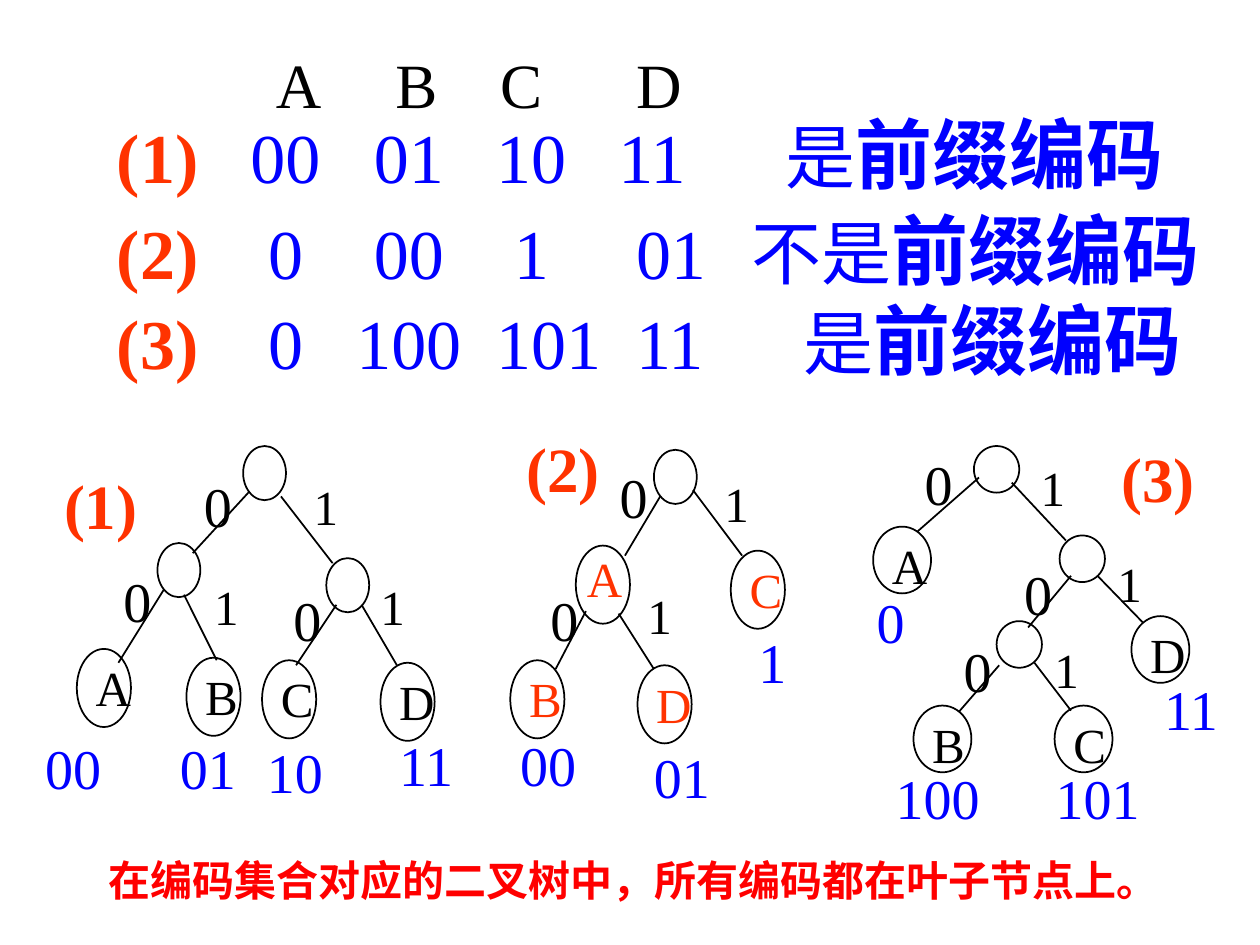
from dataclasses import dataclass

from lxml import etree
from pptx import Presentation
from pptx.dml.color import RGBColor
from pptx.enum.shapes import MSO_CONNECTOR, MSO_SHAPE
from pptx.oxml.ns import qn
from pptx.util import Inches, Pt

OVAL = MSO_SHAPE.OVAL
STRAIGHT = MSO_CONNECTOR.STRAIGHT


@dataclass(frozen=True)
class Theme:
    latin: str = "Times New Roman"
    cjk: str = "Noto Sans CJK SC"
    ink: RGBColor = RGBColor(0x00, 0x00, 0x00)
    code: RGBColor = RGBColor(0x00, 0x00, 0xFF)
    accent: RGBColor = RGBColor(0xFF, 0x33, 0x00)
    note: RGBColor = RGBColor(0xFF, 0x00, 0x00)
    note_size: int = 24
    letter_size: int = 28
    code_size: int = 32
    heading_size: int = 36
    row_size: int = 40
    term_size: int = 44
    stroke: float = 1


THEME = Theme()
BIT_SIZES = {"0": THEME.code_size, "1": THEME.letter_size}
SMALL_ROUND, TALL_OVAL = (0.34, 0.43), (0.43, 0.62)
SMALL_CIRCLE, WIDE_OVAL = (0.36, 0.37), (0.46, 0.53)

# Code rows: label, tab stops from the text edge, codes, verdict, top
CODE_ROWS = [
    ("(1)", (1.06, 2.04, 3.01, 3.98, 5.31), "00 01 10 11", "是", 0.8),
    ("(2)", (1.2, 2.04, 3.15, 4.12, 5.04), "0 00 1 01", "不是", 1.56),
    ("(3)", (1.2, 1.9, 3.01, 4.12, 5.45), "0 100 101 11", "是", 2.27),
]

# Trees, in inches from the top left of their box.
# inner: x, y of each plain node
# edges: x1, y1, x2, y2, bit, and the bit's x, y
# leaves: x, y, letter, letter's shift in the node, code, and the code's x, y
SHIFT = (0.05, 0.02)
TREES = [
    dict(
        box=(0, 3), label=("(1)", 0.41, 0.65), letter_color=THEME.ink,
        inner_size=SMALL_ROUND, leaf_size=TALL_OVAL,
        inner=[(1.93, 0.54), (1.25, 1.31), (2.59, 1.43)],
        edges=[
            (1.98, 0.9, 1.53, 1.39, "0", 1.52, 0.69),
            (2.23, 0.94, 2.64, 1.47, "1", 2.39, 0.73),
            (1.3, 1.68, 0.94, 2.26, "0", 0.88, 1.45),
            (1.46, 1.72, 1.72, 2.24, "1", 1.6, 1.53),
            (2.67, 1.8, 2.35, 2.28, "0", 2.23, 1.6),
            (2.87, 1.8, 3.15, 2.28, "1", 2.92, 1.53),
        ],
        leaves=[
            (0.61, 2.15, "A", SHIFT, "00", 0.26, 2.77),
            (1.48, 2.22, "B", SHIFT, "01", 1.33, 2.77),
            (2.08, 2.24, "C", SHIFT, "10", 2.02, 2.8),
            (3.02, 2.26, "D", SHIFT, "11", 3.07, 2.75),
        ],
    ),
    dict(
        box=(4, 3), label=("(2)", 0.08, 0.36), letter_color=THEME.accent,
        inner_size=SMALL_ROUND, leaf_size=TALL_OVAL,
        inner=[(1.19, 0.57)],
        edges=[
            (1.24, 0.94, 0.96, 1.41, "0", 0.82, 0.62),
            (1.5, 0.89, 1.89, 1.41, "1", 1.65, 0.71),
            (0.65, 1.85, 0.41, 2.31, "0", 0.27, 1.6),
            (0.91, 1.87, 1.19, 2.31, "1", 1.04, 1.6),
        ],
        leaves=[
            (0.57, 1.33, "A", (-0.01, -0.03), "", 0, 0),
            (0.05, 2.24, "B", SHIFT, "00", 0.03, 2.75),
            (1.8, 1.37, "C", SHIFT, "1", 1.92, 1.93),
            (1.06, 2.28, "D", SHIFT, "01", 1.09, 2.84),
        ],
    ),
    dict(
        box=(6, 3), label=("(3)", 2.8, 0.44), letter_color=THEME.ink,
        inner_size=SMALL_CIRCLE, leaf_size=WIDE_OVAL,
        inner=[(1.73, 0.54), (2.41, 1.25), (1.91, 1.93)],
        edges=[
            (1.77, 0.79, 1.28, 1.22, "0", 1.24, 0.52),
            (2.03, 0.83, 2.46, 1.29, "1", 2.16, 0.58),
            (2.5, 1.57, 2.16, 1.98, "0", 2.03, 1.39),
            (2.71, 1.57, 3.07, 1.94, "1", 2.77, 1.34),
            (1.93, 2.28, 1.61, 2.65, "0", 1.55, 2),
            (2.21, 2.26, 2.5, 2.64, "1", 2.27, 2.03),
        ],
        leaves=[
            (0.93, 1.18, "A", SHIFT, "0", 0.86, 1.61),
            (1.25, 2.6, "B", SHIFT, "100", 1.01, 3.01),
            (2.37, 2.6, "C", SHIFT, "101", 2.28, 3.01),
            (2.98, 1.89, "D", SHIFT, "11", 3.14, 2.3),
        ],
    ),
]


def add_text(slide, left, top, width, runs, tabs=(), wrap=True):
    """Place one line made of (text, size, colour, bold) runs."""
    height = max(run[1] for run in runs) * 1.2 / 72 + 0.1
    box = slide.shapes.add_textbox(
        Inches(left), Inches(top), Inches(width), Inches(height))
    box.text_frame.word_wrap = wrap
    line = box.text_frame.paragraphs[0]
    if tabs:
        stops = etree.SubElement(line._p.get_or_add_pPr(), qn("a:tabLst"))
        for stop in tabs:
            etree.SubElement(stops, qn("a:tab"), pos=str(Inches(stop)), algn="l")
    for text, size, color, bold in runs:
        run = line.add_run()
        run.text = text
        run.font.name = THEME.latin
        run.font.size = Pt(size)
        run.font.bold = bold
        run.font.color.rgb = color
        etree.SubElement(run._r.get_or_add_rPr(), qn("a:ea"), typeface=THEME.cjk)
    return box


def add_node(slide, left, top, size):
    node = slide.shapes.add_shape(
        OVAL, Inches(left), Inches(top), Inches(size[0]), Inches(size[1]))
    node.shadow.inherit = False
    node.fill.background()
    node.line.color.rgb = THEME.ink
    node.line.width = Pt(THEME.stroke)


def add_edge(slide, x1, y1, x2, y2):
    edge = slide.shapes.add_connector(
        STRAIGHT, Inches(x1), Inches(y1), Inches(x2), Inches(y2))
    edge.line.color.rgb = THEME.ink
    edge.line.width = Pt(THEME.stroke)
    etree.SubElement(edge._element.spPr, qn("a:effectLst"))


def build_code_rows(slide, left, width):
    # Letter headings
    add_text(slide, left + 1.26, 0.31, 4.05,
             [("A\tB\tC\tD", THEME.heading_size, THEME.ink, False)],
             tabs=(0.95, 1.78, 2.86))
    # One line per code set, with its verdict
    for label, tabs, codes, verdict, top in CODE_ROWS:
        cells = "\t".join(["", *codes.split(), verdict])
        add_text(slide, left, top, width, [
            (label, THEME.row_size, THEME.accent, True),
            (cells, THEME.row_size, THEME.code, False),
            ("前缀编码", THEME.term_size, THEME.code, True),
        ], tabs)


def build_tree(slide, box, label, letter_color, inner_size, leaf_size,
               inner, edges, leaves):
    x0, y0 = box
    # Inner nodes
    for x, y in inner:
        add_node(slide, x0 + x, y0 + y, inner_size)
    # Edges and their bits
    for x1, y1, x2, y2, bit, bit_x, bit_y in edges:
        add_edge(slide, x0 + x1, y0 + y1, x0 + x2, y0 + y2)
        add_text(slide, x0 + bit_x, y0 + bit_y, 0.55,
                 [(bit, BIT_SIZES[bit], THEME.ink, False)])
    # Lettered nodes and their codes
    for x, y, letter, (dx, dy), code, code_x, code_y in leaves:
        add_node(slide, x0 + x, y0 + y, leaf_size)
        add_text(slide, x0 + x + dx, y0 + y + dy, 0.62,
                 [(letter, THEME.letter_size, letter_color, False)])
        if code:
            add_text(slide, x0 + code_x, y0 + code_y, 0.35 + 0.22 * len(code),
                     [(code, THEME.code_size, THEME.code, False)])
    # Number of the code set
    number, x, y = label
    add_text(slide, x0 + x, y0 + y, 1.02,
             [(number, THEME.heading_size, THEME.accent, True)])


def build_conclusion(slide, left, top, width):
    conclusion = add_text(
        slide, left, top, width,
        [("在编码集合对应的二叉树中，所有编码都在叶子节点上。",
          THEME.note_size, THEME.note, True)], wrap=False)
    conclusion.text_frame.paragraphs[0].runs[0].font.name = THEME.cjk


def main():
    deck = Presentation()
    deck.slide_width, deck.slide_height = Inches(10), Inches(7.5)
    slide = deck.slides.add_slide(deck.slide_layouts[6])
    build_code_rows(slide, 0.83, 9.1)
    for tree in TREES:
        build_tree(slide, **tree)
    build_conclusion(slide, 0.76, 6.73, 8.62)
    deck.save("out.pptx")


if __name__ == "__main__":
    main()
